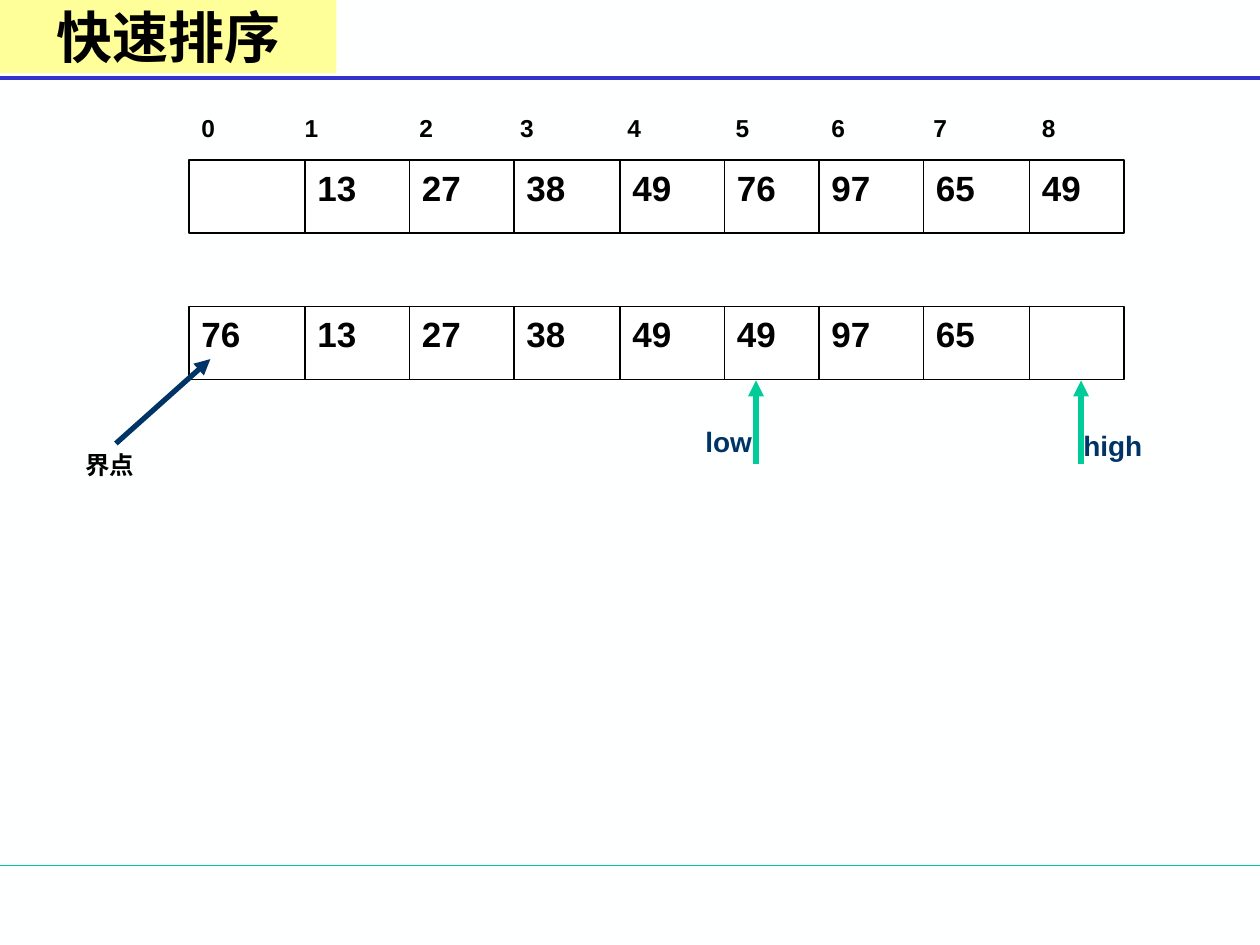
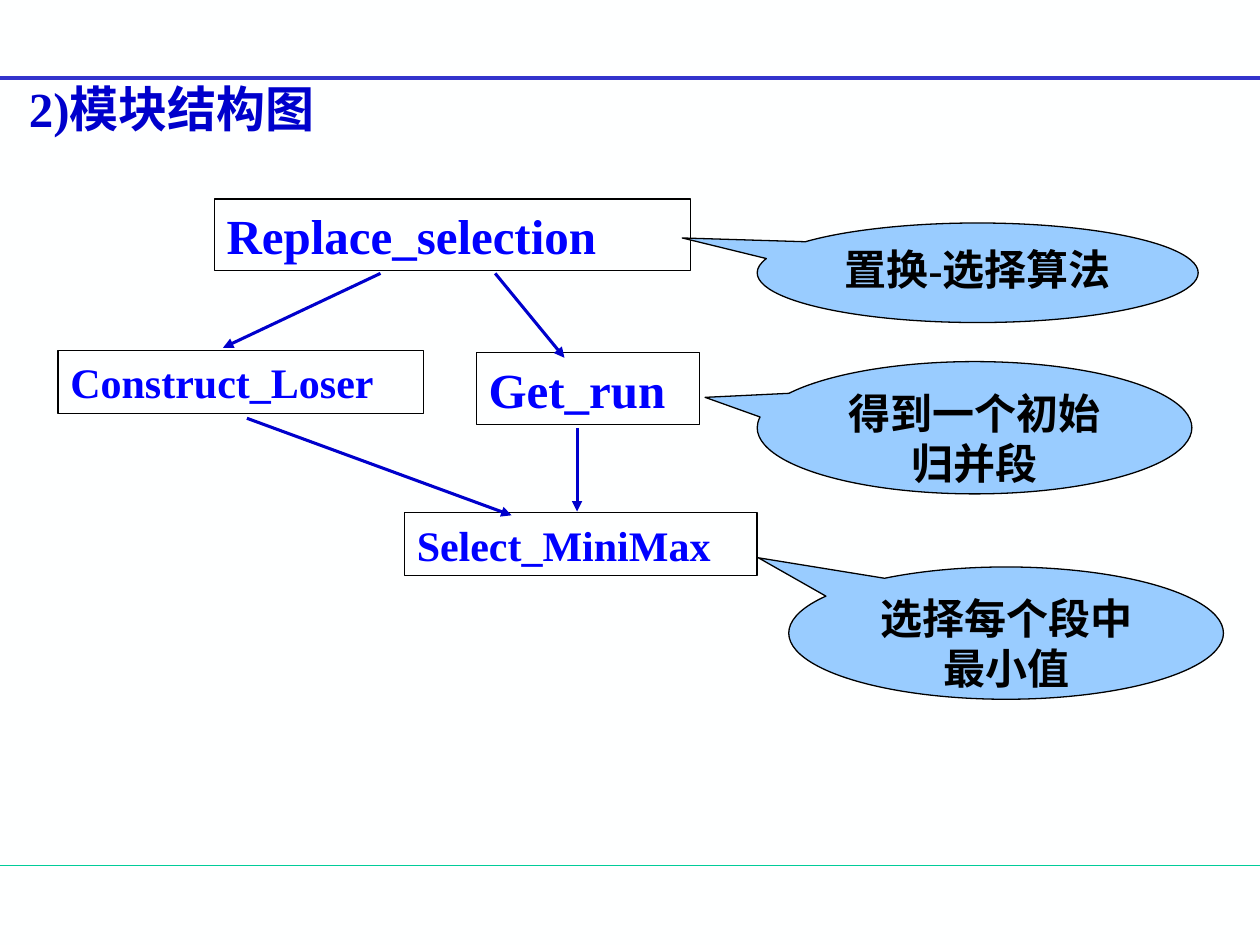
from dataclasses import dataclass
from lxml.etree import SubElement
from pptx import Presentation
from pptx.dml.color import RGBColor
from pptx.enum.shapes import MSO_CONNECTOR as Line, MSO_SHAPE as Shape
from pptx.enum.text import MSO_ANCHOR as Anchor, MSO_AUTO_SIZE as AutoSize, PP_ALIGN as Align
from pptx.oxml.ns import qn
from pptx.util import Inches, Pt


@dataclass(frozen=True)
class Theme:
    paper: str = "FEFFFF"
    white: str = "FFFFFF"
    black: str = "000000"
    rule: str = "3333CC"
    green: str = "00CC99"
    navy: str = "003366"
    blue: str = "0000CC"
    module: str = "0000FF"
    band: str = "FFFF99"
    callout: str = "99CCFF"
    sans: str = "Arial"
    serif: str = "Times New Roman"
    title: int = 32
    heading: int = 28
    body: int = 24
    cell: int = 20
    pointer: int = 16
    label: int = 14


theme = Theme()


def write(box, text, size, face, color, align=Align.LEFT, anchor=Anchor.TOP, tabs=()):
    frame = box.text_frame
    frame_format = {
        "auto_size": AutoSize.NONE, "word_wrap": True, "vertical_anchor": anchor,
        "margin_left": Inches(0.1), "margin_right": Inches(0.1),
        "margin_top": Inches(0.05), "margin_bottom": Inches(0.05),
    }
    for name, value in frame_format.items():
        setattr(frame, name, value)
    para = frame.paragraphs[0]
    para.alignment = align
    if tabs:
        stops = SubElement(para._p.get_or_add_pPr(), qn("a:tabLst"))
        for stop in tabs:
            SubElement(stops, qn("a:tab"), pos=str(Inches(stop)), algn="l")
    span = para.add_run()
    span.text = text
    for name, value in {"size": Pt(size), "name": face, "bold": True}.items():
        setattr(span.font, name, value)
    span.font.color.rgb = RGBColor.from_string(color)


def draw_line(page, ends, color, width, arrow=False):
    line = page.shapes.add_connector(Line.STRAIGHT, *map(Inches, ends))
    line.line.width = Pt(width)
    line.line.color.rgb = RGBColor.from_string(color)
    if arrow:
        SubElement(line.element.spPr.get_or_add_ln(), qn("a:tailEnd"), type="triangle")
    SubElement(line.element.spPr, qn("a:effectLst"))
    return line


deck = Presentation()
deck.slide_width, deck.slide_height = Inches(10), Inches(7.5)
paper = deck.slide_master.background.fill
paper.solid()
paper.fore_color.rgb = RGBColor.from_string(theme.paper)
layout = deck.slide_layouts[5]

sort_page = deck.slides.add_slide(layout)
module_page = deck.slides.add_slide(layout)
for y, color, width in [(6.87, theme.green, 0.75), (0.62, theme.rule, 2.25)]:
    rule = draw_line(sort_page, (0, y, 10, y), color, width)
    layout.shapes.element.append(rule.element)

titles = [
    (sort_page, "快速排序", (0, 0, 2.67, 0.58), theme.title, theme.black, Align.CENTER, Anchor.MIDDLE),
    (module_page, "2)模块结构图", (0.13, 0.57, 3.66, 0.57), theme.heading, theme.blue, Align.LEFT, Anchor.TOP),
]
for page, text, place, size, color, align, anchor in titles:
    title = page.shapes.title
    for name, value in zip(("left", "top", "width", "height"), place):
        setattr(title, name, Inches(value))
    write(title, text, size, theme.serif, color, align, anchor)
band = sort_page.shapes.title.fill
band.solid()
band.fore_color.rgb = RGBColor.from_string(theme.band)

edges = [1.5, 2.42, 3.25, 4.08, 4.92, 5.75, 6.5, 7.33, 8.17]
row_height = 0.58
arrays = [
    (1.27, ["", "13", "27", "38", "49", "76", "97", "65", "49"]),
    (2.43, ["76", "13", "27", "38", "49", "49", "97", "65", ""]),
]
for top, values in arrays:
    row = sort_page.shapes.add_shape(
        Shape.RECTANGLE, Inches(edges[0]), Inches(top), Inches(7.42), Inches(row_height))
    row.shadow.inherit = False
    row.fill.solid()
    row.fill.fore_color.rgb = RGBColor.from_string(theme.white)
    row.line.color.rgb = RGBColor.from_string(theme.black)
    row.line.width = Pt(0.75)
    for x in edges[1:]:
        draw_line(sort_page, (x, top, x, top + row_height), theme.black, 0.75)
    for x, value in zip(edges, values):
        if value:
            cell = sort_page.shapes.add_textbox(Inches(x), Inches(top), Inches(0.67), Inches(0.44))
            write(cell, value, theme.cell, theme.sans, theme.black)

index_row = sort_page.shapes.add_textbox(Inches(1.5), Inches(0.85), Inches(7.42), Inches(0.34))
write(index_row, "\t".join(map(str, range(9))), theme.label, theme.sans, theme.black,
      tabs=(0.82, 1.73, 2.53, 3.38, 4.24, 5, 5.81, 6.67))

for ends, color in [
    ((8.58, 3.68, 8.58, 3.02), theme.green),
    ((6, 3.68, 6, 3.02), theme.green),
    ((0.92, 3.52, 1.67, 2.85), theme.navy),
]:
    draw_line(sort_page, ends, color, 3, arrow=True)
for text, place, size, color in [
    ("high", (8.5, 3.35, 0.92, 0.37), theme.pointer, theme.navy),
    ("low", (5.5, 3.32, 0.92, 0.37), theme.pointer, theme.navy),
    ("界点", (0.58, 3.52, 0.83, 0.34), theme.label, theme.black),
]:
    label = sort_page.shapes.add_textbox(*map(Inches, place))
    write(label, text, size, theme.sans, color)

for text, place, size in [
    ("Replace_selection", (1.7, 1.58, 3.78, 0.57), theme.heading),
    ("Get_run", (3.78, 2.8, 1.77, 0.57), theme.heading),
    ("Construct_Loser", (0.46, 2.78, 2.9, 0.5), theme.body),
    ("Select_MiniMax", (3.21, 4.07, 2.8, 0.5), theme.body),
]:
    module = module_page.shapes.add_shape(Shape.RECTANGLE, *map(Inches, place))
    module.shadow.inherit = False
    module.fill.background()
    module.line.color.rgb = RGBColor.from_string(theme.black)
    module.line.width = Pt(0.75)
    write(module, text, size, theme.serif, theme.module, anchor=Anchor.MIDDLE)

for text, place, tip in [
    ("置换-选择算法", (6.01, 1.77, 3.5, 0.79), (-0.67, -0.35)),
    ("得到一个初始归并段", (6.01, 2.87, 3.45, 1.05), (-0.62, -0.23)),
    ("选择每个段中最小值", (6.26, 4.5, 3.45, 1.05), (-0.57, -0.57)),
]:
    callout = module_page.shapes.add_shape(Shape.OVAL_CALLOUT, *map(Inches, place))
    callout.adjustments[0], callout.adjustments[1] = tip
    callout.shadow.inherit = False
    callout.fill.solid()
    callout.fill.fore_color.rgb = RGBColor.from_string(theme.callout)
    callout.line.color.rgb = RGBColor.from_string(theme.black)
    callout.line.width = Pt(0.75)
    write(callout, text, theme.body, theme.serif, theme.black, Align.CENTER)

for ends in [
    (3.93, 2.17, 4.48, 2.84),
    (3.02, 2.17, 1.77, 2.76),
    (4.58, 3.4, 4.58, 4.06),
    (1.96, 3.32, 4.06, 4.09),
]:
    draw_line(module_page, ends, theme.blue, 1.75, arrow=True)

deck.save("out.pptx")
